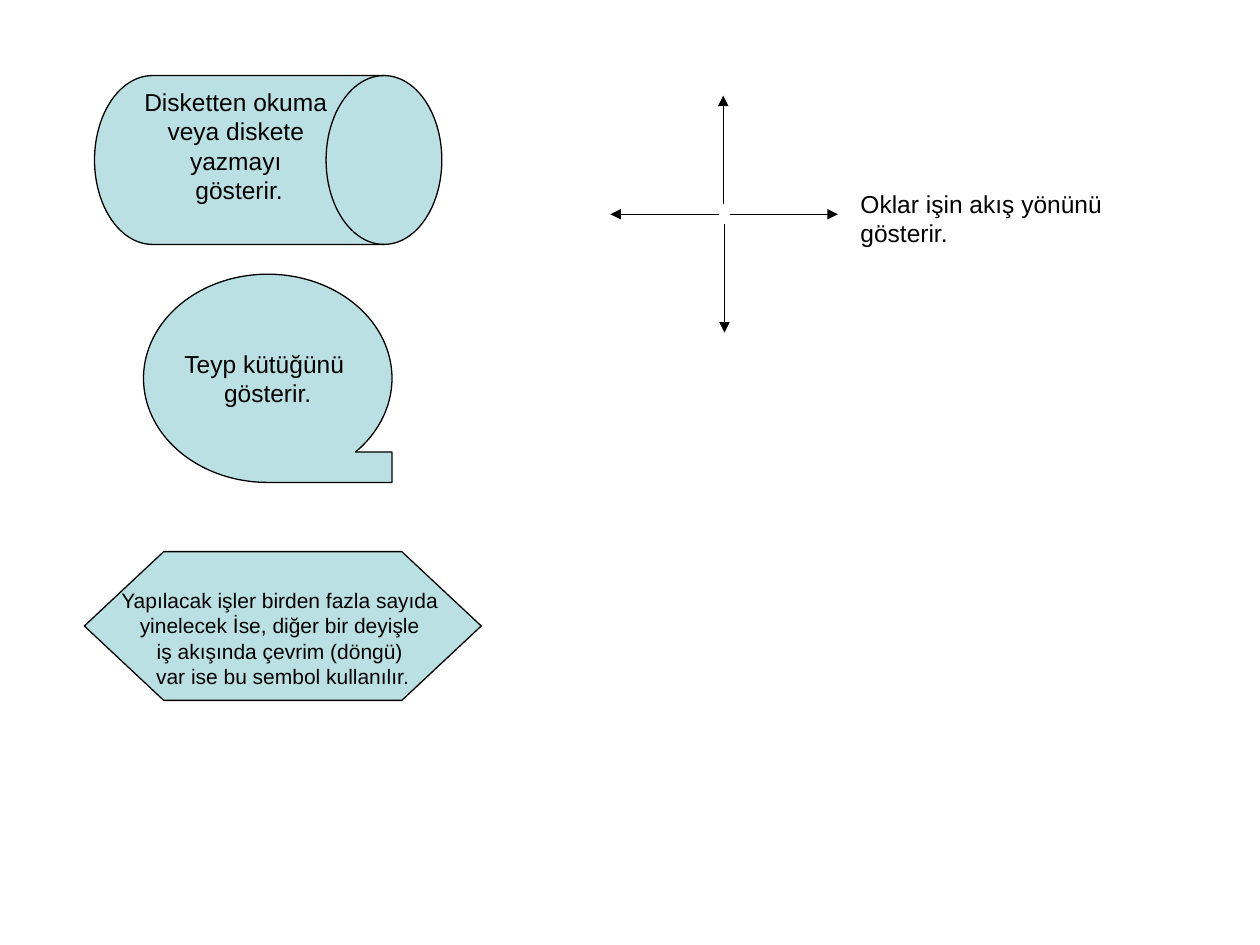
from lxml.etree import SubElement
from pptx import Presentation
from pptx.dml.color import RGBColor
from pptx.enum.shapes import MSO_CONNECTOR as Connector, MSO_SHAPE as Shape
from pptx.enum.text import MSO_ANCHOR as Anchor, MSO_AUTO_SIZE as AutoSize, PP_ALIGN as Align
from pptx.oxml.ns import qn
from pptx.util import Pt

BLACK = RGBColor(0x00, 0x00, 0x00)
PALE_BLUE = RGBColor(0xBB, 0xE0, 0xE3)


def write_lines(frame, lines, size, align):
    frame.text = "\n".join(lines)
    for para in frame.paragraphs:
        para.alignment = align
        for span in para.runs:
            span.font.name = "Arial"
            span.font.size = Pt(size)
            span.font.color.rgb = BLACK


deck = Presentation()
deck.slide_width, deck.slide_height = Pt(720), Pt(540)
page = deck.slides.add_slide(deck.slide_layouts[6])

symbols = [
    (Shape.FLOWCHART_DIRECT_ACCESS_STORAGE, (54, 43.2, 198.5, 96.5), 14, 3.6, 19.7,
     ["Disketten okuma ", "veya diskete ", "yazmayı ", "gösterir."]),
    (Shape.FLOWCHART_SEQUENTIAL_ACCESS_STORAGE, (82, 156.7, 142, 119), 14, 3.6, 3.6,
     ["Teyp kütüğünü ", "gösterir."]),
    (Shape.FLOWCHART_PREPARATION, (48.2, 315.2, 226.8, 85), 12, 17.4, 3.6,
     ["Yapılacak işler birden fazla sayıda ", "yinelecek İse, diğer bir deyişle ",
      "iş akışında çevrim (döngü) ", "var ise bu sembol kullanılır."]),
]
for kind, bounds, size, top_inset, bottom_inset, lines in symbols:
    symbol = page.shapes.add_shape(kind, *map(Pt, bounds))
    symbol.shadow.inherit = False
    symbol.fill.solid()
    symbol.fill.fore_color.rgb = PALE_BLUE
    symbol.line.color.rgb = BLACK
    symbol.line.width = Pt(0.75)
    frame = symbol.text_frame
    frame.word_wrap = False
    frame.vertical_anchor = Anchor.MIDDLE
    frame.margin_top, frame.margin_bottom = Pt(top_inset), Pt(bottom_inset)
    write_lines(frame, lines, size, Align.CENTER)

arrows = [
    (413.3, 116.6, 413.3, 54.7),
    (416.9, 122.4, 478.8, 122.4),
    (411.1, 122.4, 348.8, 122.4),
    (414, 128.2, 414, 190.1),
]
for ends in arrows:
    arrow = page.shapes.add_connector(Connector.STRAIGHT, *map(Pt, ends))
    arrow.line.color.rgb = BLACK
    arrow.line.width = Pt(0.75)
    SubElement(arrow.line._get_or_add_ln(), qn("a:tailEnd"), type="triangle")
    SubElement(arrow._element.spPr, qn("a:effectLst"))

box = page.shapes.add_textbox(Pt(484.6), Pt(104.4), Pt(204.5), Pt(41))
box.text_frame.word_wrap = True
box.text_frame.auto_size = AutoSize.SHAPE_TO_FIT_TEXT
write_lines(box.text_frame, ["Oklar işin akış yönünü gösterir."], 14, Align.LEFT)

deck.save("out.pptx")
